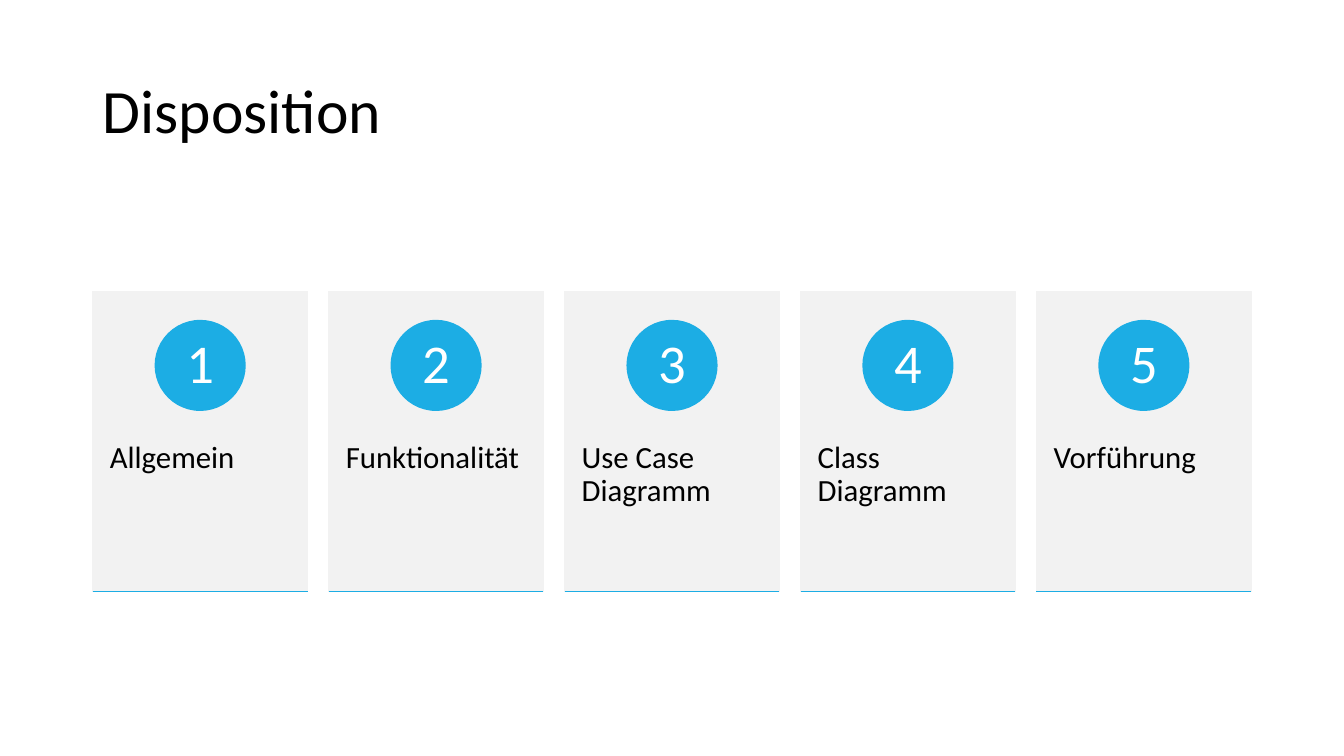
import pptx
import pptx.util
import pptx.dml.color
import pptx.enum.shapes
import pptx.enum.text
import pptx.oxml.ns
import lxml.etree

Inches = pptx.util.Inches
SHAPE = pptx.enum.shapes.MSO_SHAPE
ALIGN = pptx.enum.text.PP_ALIGN
ANCHOR = pptx.enum.text.MSO_ANCHOR

BLUE, GRAY, BLACK, WHITE = "1CADE4", "F2F2F2", "000000", "FFFFFF"
TOPICS = ["Allgemein", "Funktionalität", "Use Case Diagramm",
          "Class Diagramm", "Vorführung"]

# Card grid, in inches
LEFT, TOP, WIDTH, HEIGHT, STEP = 0.92, 2.89, 2.13, 2.98, 2.34
CIRCLE = 0.89


def rgb(hex_color):
    return pptx.dml.color.RGBColor.from_string(hex_color)


def set_text(sp, text, size, color, align, anchor, inset_x, inset_y):
    tf = sp.text_frame
    frame_format = {
        "word_wrap": True, "vertical_anchor": anchor,
        "auto_size": pptx.enum.text.MSO_AUTO_SIZE.NONE,
        "margin_left": Inches(inset_x), "margin_right": Inches(inset_x),
        "margin_top": Inches(inset_y), "margin_bottom": Inches(inset_y),
    }
    for name, value in frame_format.items():
        setattr(tf, name, value)
    p = tf.paragraphs[0]
    p.alignment = align
    p.line_spacing = 0.9
    r = p.add_run()
    r.text = text
    for name, value in {"name": "Calibri", "size": pptx.util.Pt(size)}.items():
        setattr(r.font, name, value)
    r.font.color.rgb = rgb(color)


def add_filled(shapes, kind, x, y, w, h, color):
    sp = shapes.add_shape(kind, Inches(x), Inches(y), Inches(w), Inches(h))
    sp.shadow.inherit = False
    sp.fill.solid()
    sp.fill.fore_color.rgb = rgb(color)
    sp.line.color.rgb = rgb(color)
    sp.line.width = pptx.util.Pt(1)
    return sp


def add_rule(shapes, x, y, w, color):
    line = shapes.add_connector(pptx.enum.shapes.MSO_CONNECTOR.STRAIGHT,
                                Inches(x), Inches(y), Inches(x + w), Inches(y))
    line.line.color.rgb = rgb(color)
    line.line.width = pptx.util.Pt(1)
    lxml.etree.SubElement(line._element.spPr, pptx.oxml.ns.qn("a:effectLst"))


def add_title(s, text):
    sp = s.shapes.title
    box = {"left": 0.92, "top": 0.4, "width": 11.5, "height": 1.45}
    for name, value in box.items():
        setattr(sp, name, Inches(value))
    set_text(sp, text, 44, BLACK, ALIGN.LEFT, ANCHOR.MIDDLE, 0.1, 0.05)


def add_card(s, x, number, topic):
    shapes = s.shapes.add_group_shape().shapes
    add_filled(shapes, SHAPE.RECTANGLE, x, TOP, WIDTH, HEIGHT, GRAY)
    # Topic
    label = shapes.add_textbox(Inches(x), Inches(TOP + 1.13),
                               Inches(WIDTH), Inches(1.79))
    set_text(label, topic, 22, BLACK, ALIGN.LEFT, ANCHOR.TOP, 0.17, 0.36)
    # Numbered circle
    circle = add_filled(shapes, SHAPE.OVAL, x + (WIDTH - CIRCLE) / 2,
                        TOP + 0.29, CIRCLE, CIRCLE, BLUE)
    set_text(circle, str(number), 39, WHITE, ALIGN.CENTER, ANCHOR.MIDDLE,
             0.07, 0.01)
    # Bottom rule
    add_rule(shapes, x, TOP + HEIGHT, WIDTH, BLUE)


def main():
    prs = pptx.Presentation()
    prs.slide_width, prs.slide_height = Inches(13.33), Inches(7.5)
    s = prs.slides.add_slide(prs.slide_layouts[5])
    add_title(s, "Disposition")
    for i, topic in enumerate(TOPICS):
        add_card(s, LEFT + i * STEP, i + 1, topic)
    prs.save("out.pptx")


if __name__ == "__main__":
    main()
